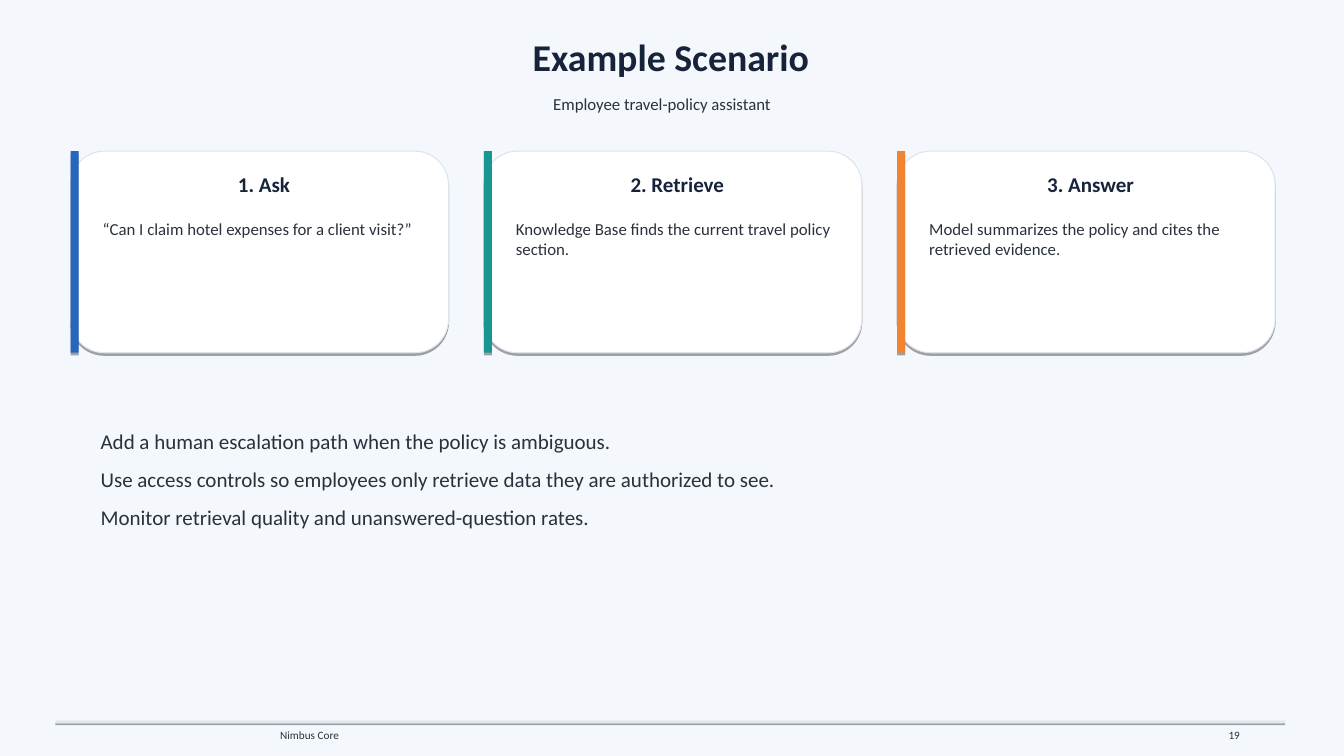
from dataclasses import dataclass

from lxml.etree import SubElement as Sub
from pptx import Presentation as Deck
from pptx.dml.color import RGBColor as Rgb
from pptx.enum.shapes import MSO_SHAPE as Kind
from pptx.enum.text import MSO_ANCHOR as Anchor, PP_ALIGN as Align
from pptx.oxml.ns import qn
from pptx.shapes.autoshape import Shape
from pptx.slide import Slide
from pptx.util import Pt


@dataclass(frozen=True)
class Theme:
    font: str = "Calibri"
    page: str = "F4F7FB"
    card: str = "FFFFFF"
    rule: str = "DCE4EF"
    dark: str = "16233A"
    ink: str = "2A313D"
    blue: str = "2666BE"
    teal: str = "189691"
    orange: str = "F08430"
    title: int = 27
    head: int = 15
    text: int = 12
    foot: int = 8


@dataclass(frozen=True)
class Box:
    left: float
    top: float
    width: float
    height: float

    def place(self) -> tuple[Pt, Pt, Pt, Pt]:
        return Pt(self.left), Pt(self.top), Pt(self.width), Pt(self.height)


@dataclass(frozen=True)
class Card:
    head: str
    span: float
    text: str
    deep: float
    tint: str


@dataclass(frozen=True)
class Label:
    text: str
    box: Box
    size: int
    align: Align = Align.LEFT


LOOK = Theme()
CARDS = [
    Card("1. Ask", 52, "“Can I claim hotel expenses for a client visit?”", 21.6, LOOK.blue),
    Card("2. Retrieve", 81.4,
         "Knowledge Base finds the current travel policy section.", 36, LOOK.teal),
    Card("3. Answer", 76.3,
         "Model summarizes the policy and cites the retrieved evidence.", 36, LOOK.orange),
]
LABELS = [
    Label("Employee travel-policy assistant", Box(388.1, 63.4, 170.6, 21.6), LOOK.text),
    Label("Nimbus Core", Box(193, 517, 58.3, 16.6), LOOK.foot),
    Label("19", Box(870.5, 517, 22.3, 16.6), LOOK.foot, Align.RIGHT),
]
NOTES = [
    "Add a human escalation path when the policy is ambiguous.",
    "Use access controls so employees only retrieve data they are authorized to see.",
    "Monitor retrieval quality and unanswered-question rates.",
]


def shade(shape: Shape) -> None:
    props = shape.element.spPr
    glow = Sub(Sub(props, qn("a:effectLst")), qn("a:outerShdw"),
               blurRad="0", dist=str(Pt(1.8)), dir="5400000", rotWithShape="0")
    Sub(Sub(glow, qn("a:srgbClr"), val="000000"), qn("a:alpha"), val="35000")


def panel(slide: Slide, kind: Kind, box: Box, fill: str, edge: str = "") -> None:
    shape = slide.shapes.add_shape(kind, *box.place())
    shape.fill.solid()
    shape.fill.fore_color.rgb = Rgb.from_string(fill)
    if edge:
        shape.line.color.rgb = Rgb.from_string(edge)
        shape.line.width = Pt(0.75)
    else:
        shape.line.fill.background()
    shade(shape)


def write(shape: Shape, lines: list[str], size: int, tint: str, bold: bool = False,
          align: Align = Align.LEFT, wrap: bool = False, gap: float = 0) -> None:
    frame = shape.text_frame
    frame.text = "\n".join(lines)
    frame.word_wrap = wrap
    frame.vertical_anchor = Anchor.TOP
    for para in frame.paragraphs:
        para.alignment = align
        para.space_after = Pt(gap)
        font = para.font
        font.name, font.size, font.bold = LOOK.font, Pt(size), bold
        font.color.rgb = Rgb.from_string(tint)


def field(slide: Slide, box: Box) -> Shape:
    return slide.shapes.add_textbox(*box.place())


def draw(slide: Slide, card: Card, left: float) -> None:
    top, width, height = 108, 270, 144
    panel(slide, Kind.ROUNDED_RECTANGLE, Box(left, top, width, height), LOOK.card, LOOK.rule)
    panel(slide, Kind.RECTANGLE, Box(left, top, 5.76, height), card.tint)
    head = Box(left + 138.2 - card.span / 2, top + 10.8, card.span, 25.2)
    write(field(slide, head), [card.head], LOOK.head, LOOK.dark, True, Align.CENTER)
    body = Box(left + 15.84, top + 44.64, 241.2, card.deep)
    write(field(slide, body), [card.text], LOOK.text, LOOK.ink, wrap=True)


def main() -> None:
    deck = Deck()
    deck.slide_width, deck.slide_height = Pt(960), Pt(540)
    slide = deck.slides.add_slide(deck.slide_layouts[5])
    back = slide.background.fill
    back.solid()
    back.fore_color.rgb = Rgb.from_string(LOOK.page)

    title = slide.shapes.title
    title.left, title.top, title.width, title.height = Box(373, 20.2, 212.4, 39.6).place()
    write(title, ["Example Scenario"], LOOK.title, LOOK.dark, True, Align.CENTER)

    panel(slide, Kind.RECTANGLE, Box(39.6, 514.8, 878.4, 1.44), LOOK.rule)
    for label in LABELS:
        write(field(slide, label.box), [label.text], label.size, LOOK.ink, align=label.align)
    for index, card in enumerate(CARDS):
        draw(slide, card, 50.4 + index * 295.2)
    write(field(slide, Box(64.8, 302.4, 828, 80)), NOTES, LOOK.head, LOOK.ink,
          wrap=True, gap=9.1)
    deck.save("out.pptx")


if __name__ == "__main__":
    main()
